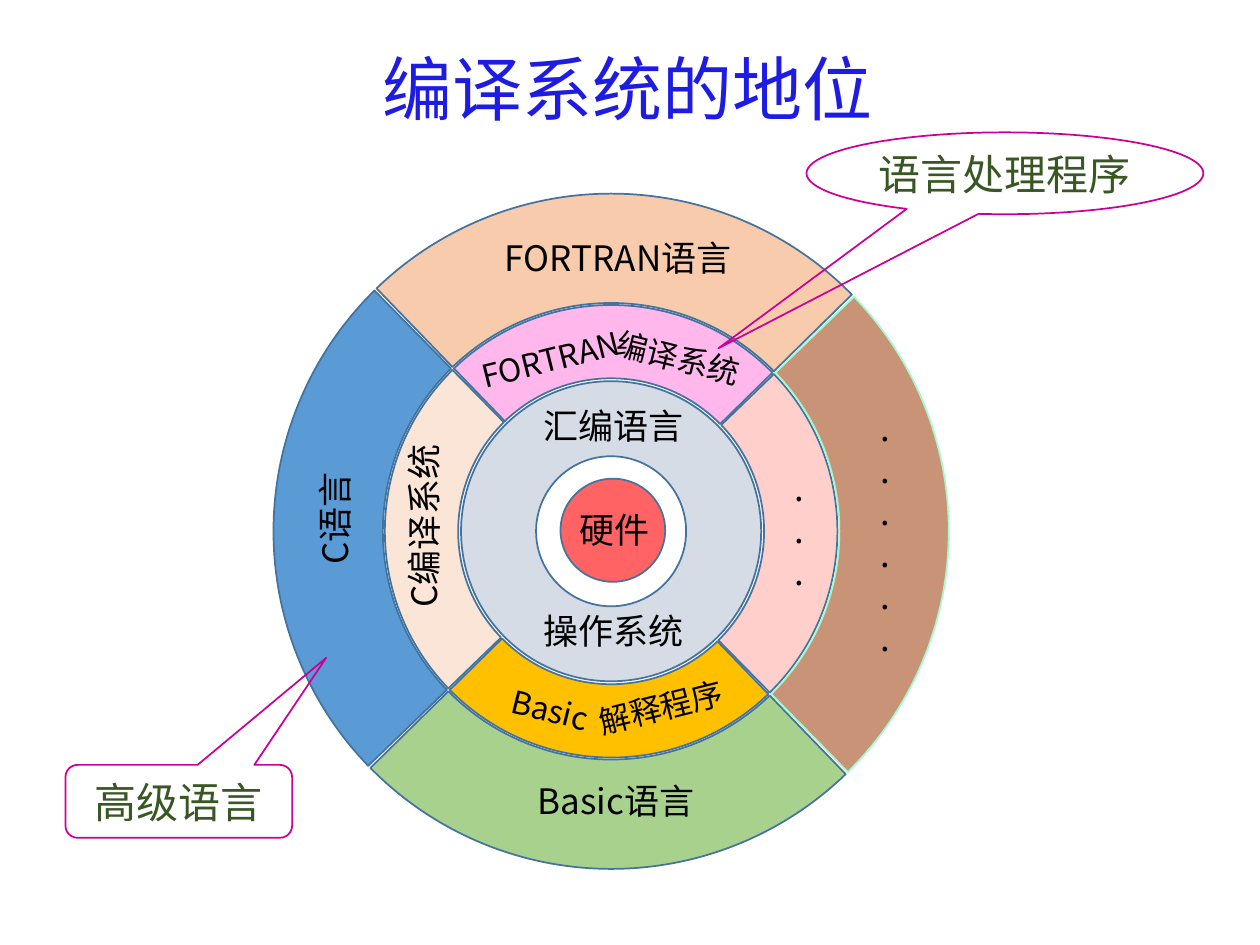
from lxml import etree
from pptx import Presentation
from pptx.dml.color import RGBColor
from pptx.enum.shapes import MSO_SHAPE
from pptx.enum.text import MSO_ANCHOR, PP_ALIGN
from pptx.oxml.ns import qn
from pptx.util import Cm, Pt

FONT = "Noto Sans CJK SC"
TITLE_FONT = "Noto Sans CJK JP"
EDGE = "43739E"
CALLOUT_EDGE = "CC0099"
CALLOUT_TEXT = "385723"

# Common centre of all rings, and ring diameters, in cm
CENTER_X, CENTER_Y = 12.32, 10.71
INNER, OUTER = 9.12, 13.61
ARC = (135.6, 189.3, 0.162)

# rotation, (inner fill, opacity), (outer fill, opacity), outer edge
SECTORS = [
    (270, ("FBE5D6", 100), ("5B9BD5", 100), EDGE),
    (0, ("FFB7EC", 100), ("F8CBAD", 100), EDGE),
    (90, ("FEC3BE", 79), ("993300", 53), "A4FACD"),
    (180, ("FFC000", 100), ("A9D18E", 100), EDGE),
]

# text, left, top, width, height, rotation, size
CORE_LABELS = [
    ("硬件", 11.18, 9.8, 2.41, 1.75, 0, 20),
    ("汇编语言", 10.54, 7.7, 3.66, 1.75, 0, 20),
    ("操作系统", 10.54, 11.84, 3.66, 1.75, 0, 20),
]
LANGUAGE_LABELS = [
    ("FORTRAN语言", 9.86, 4.55, 5.21, 1.27, 0, 20),
    ("Basic语言", 10.13, 15.27, 4.57, 1.75, 0, 20),
    ("......", 17.42, 7.44, 0.84, 6.58, 0, 20),
    ("C语言", 4.65, 9.58, 4.19, 1.75, 270, 20),
]
COMPILER_LABELS = [
    ("C编译系统", 6.45, 9.73, 4.19, 1.75, 270, 20),
    ("FORTRAN", 9.07, 6.53, 4.06, 1.42, 346, 18),
    ("编译系统", 11.68, 6.5, 3.99, 1.42, 14, 18),
    ("Basic", 9.27, 13.59, 3.63, 1.42, 14, 18),
    ("解释程序", 11.33, 13.54, 3.99, 1.42, 346, 18),
    ("...", 15.7, 7.39, 0.84, 6.58, 0, 20),
]


def color(hex_code):
    return RGBColor.from_string(hex_code)


def write(frame, text, size, hex_code, font=FONT):
    """Put one centred line of text in the middle of a frame."""
    for name, value in {"word_wrap": True,
                        "vertical_anchor": MSO_ANCHOR.MIDDLE}.items():
        setattr(frame, name, value)
    paragraph = frame.paragraphs[0]
    paragraph.alignment = PP_ALIGN.CENTER
    run = paragraph.add_run()
    run.text = text
    for name, value in {"name": font, "size": Pt(size), "bold": False}.items():
        setattr(run.font, name, value)
    run.font.color.rgb = color(hex_code)
    # East Asian characters take their font from a:ea
    run.font._element.get_or_add_latin().addnext(
        etree.Element(qn("a:ea"), typeface=font))
    return paragraph


def add_figure(shapes, kind, box, fill=None, edge=EDGE, opacity=100,
               adjustments=(), rotation=0):
    figure = shapes.add_shape(kind, *(Cm(v) for v in box))
    figure.shadow.inherit = False
    figure.rotation = rotation
    for index, value in enumerate(adjustments):
        figure.adjustments[index] = value
    figure.line.color.rgb = color(edge)
    figure.line.width = Pt(1)
    if fill is None:
        figure.fill.background()
        return figure
    figure.fill.solid()
    figure.fill.fore_color.rgb = color(fill)
    if opacity < 100:
        tint = figure._element.spPr.find(qn("a:solidFill"))[0]
        etree.SubElement(tint, qn("a:alpha"), val=str(opacity * 1000))
    return figure


def centered_box(diameter):
    return (CENTER_X - diameter / 2, CENTER_Y - diameter / 2,
            diameter, diameter)


def add_sectors(shapes):
    for rotation, inner, outer, outer_edge in SECTORS:
        for diameter, (fill, opacity), edge in ((INNER, inner, EDGE),
                                                (OUTER, outer, outer_edge)):
            add_figure(shapes, MSO_SHAPE.BLOCK_ARC, centered_box(diameter),
                       fill, edge, opacity, ARC, rotation)


def add_labels(shapes, labels):
    for text, left, top, width, height, rotation, size in labels:
        label = shapes.add_textbox(Cm(left), Cm(top), Cm(width), Cm(height))
        label.rotation = rotation
        write(label.text_frame, text, size, "000000")


def add_callout(shapes, kind, box, adjustments, text):
    callout = add_figure(shapes, kind, box, edge=CALLOUT_EDGE,
                         adjustments=adjustments)
    for side in ("left", "top", "right", "bottom"):
        setattr(callout.text_frame, f"margin_{side}", 0)
    write(callout.text_frame, text, 24, CALLOUT_TEXT)


def add_title(slide, text):
    title = slide.shapes.title
    position = {"left": 1.7, "top": 0.79, "width": 21.89, "height": 2.16}
    for name, value in position.items():
        setattr(title, name, Cm(value))
    write(title.text_frame, text, 40, "1E1CE3", TITLE_FONT).line_spacing = 0.9


def main():
    deck = Presentation()
    deck.slide_width, deck.slide_height = Cm(25.4), Cm(19.05)
    slide = deck.slides.add_slide(deck.slide_layouts[5])
    shapes = slide.shapes
    add_title(slide, "编译系统的地位")

    # Rings, from the hardware core outwards
    add_figure(shapes, MSO_SHAPE.OVAL, (11.3, 9.65, 2.11, 2.08), "FF0000",
               opacity=61)
    add_sectors(shapes.add_group_shape().shapes)
    add_figure(shapes, MSO_SHAPE.DONUT, centered_box(6.05), "D6DCE5",
               adjustments=(0.25,))

    # Labels on the rings
    add_labels(shapes, CORE_LABELS)
    for labels in (LANGUAGE_LABELS, COMPILER_LABELS):
        add_labels(shapes.add_group_shape().shapes, labels)

    # Callouts naming the two outer rings
    add_callout(shapes, MSO_SHAPE.OVAL_CALLOUT, (16.26, 2.67, 8, 1.65),
                (-0.722, 2.138), "语言处理程序")
    add_callout(shapes, MSO_SHAPE.ROUNDED_RECTANGULAR_CALLOUT,
                (1.32, 15.42, 4.57, 1.47), (0.65, -1.968, 0.167), "高级语言")
    deck.save("out.pptx")


if __name__ == "__main__":
    main()
